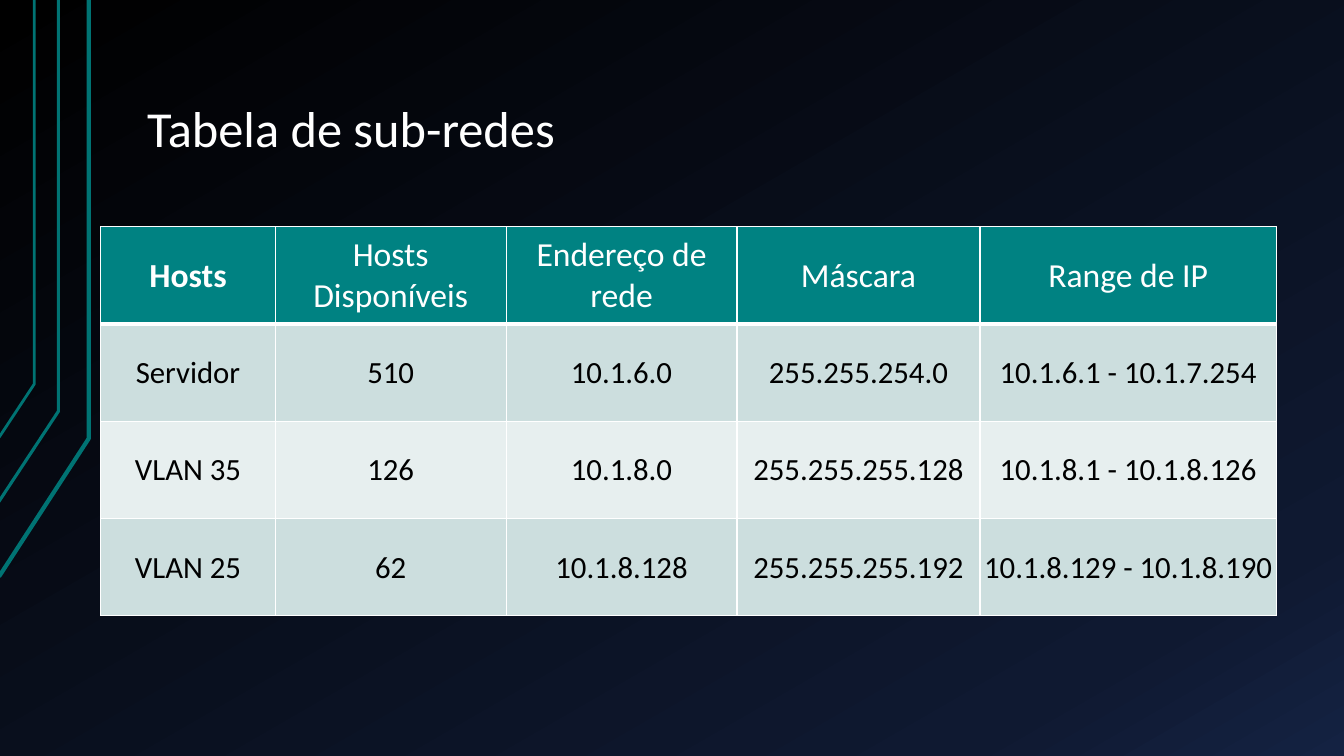
"""Build the subnet table slide."""
from dataclasses import dataclass

from lxml import etree
from pptx import Presentation
from pptx.dml.color import RGBColor
from pptx.enum.text import MSO_ANCHOR, MSO_AUTO_SIZE, PP_ALIGN
from pptx.oxml.ns import qn
from pptx.util import Inches, Pt

LEFT, CENTER = PP_ALIGN.LEFT, PP_ALIGN.CENTER
MIDDLE, BOTTOM = MSO_ANCHOR.MIDDLE, MSO_ANCHOR.BOTTOM
NO_FIT = MSO_AUTO_SIZE.NONE


@dataclass(frozen=True)
class Theme:
    font: str = "Calibri"
    title_size: int = 36
    head_size: int = 24
    body_size: int = 22
    white: str = "FFFFFF"
    black: str = "000000"
    head_fill: str = "008282"
    bands: tuple = ("CCDEDE", "E7EFEF")
    accent: str = "007373"
    backdrop: tuple = ((0, "000000"), (85, "0F1931"), (100, "142242"))
    angle: int = 60


THEME = Theme()
TITLE = "Tabela de sub-redes"
ROWS = [
    ("Hosts", "Hosts Disponíveis", "Endereço de rede", "Máscara", "Range de IP"),
    ("Servidor", "510", "10.1.6.0", "255.255.254.0", "10.1.6.1 - 10.1.7.254"),
    ("VLAN 35", "126", "10.1.8.0", "255.255.255.128", "10.1.8.1 - 10.1.8.126"),
    ("VLAN 25", "62", "10.1.8.128", "255.255.255.192", "10.1.8.129 - 10.1.8.190"),
]
COL_WIDTHS = (1.73, 2.29, 2.29, 2.41, 2.94)
TABLE_LEFT, TABLE_TOP, TABLE_HEIGHT = 1, 2.25, 3.86
CIRCUIT_LINES = [
    (((-0.01, 5.72), (0.88, 4.35), (0.88, 0)), 3),
    (((-0.02, 4.99), (0.58, 4.08), (0.58, 0)), 2.25),
    (((-0.01, 4.34), (0.34, 3.81), (0.34, 0)), 2),
]


def style(p, size, color, align, bold=False):
    p.alignment = align
    p.font.name, p.font.size, p.font.bold = THEME.font, Pt(size), bold
    p.font.color.rgb = RGBColor.from_string(color)


def add_color(parent, color):
    etree.SubElement(parent, qn("a:srgbClr"), val=color)


def set_background(s):
    fill = s.background.fill
    fill.gradient()
    fill.gradient_angle = 360 - THEME.angle
    stops = s.element.find(".//" + qn("a:gsLst"))
    for stop in list(stops):
        stops.remove(stop)
    for percent, color in THEME.backdrop:
        add_color(etree.SubElement(stops, qn("a:gs"), pos=str(percent * 1000)), color)


def add_circuit_line(s, points, width):
    start, *rest = [(Inches(x), Inches(y)) for x, y in points]
    builder = s.shapes.build_freeform(*start)
    builder.add_line_segments(rest, close=False)
    sp = builder.convert_to_shape()
    sp.fill.background()
    sp.line.color.rgb = RGBColor.from_string(THEME.accent)
    sp.line.width = Pt(width)
    sp.shadow.inherit = False


def set_borders(cell, top, bottom):
    tc_pr = cell._tc.get_or_add_tcPr()
    for side, width in (("L", 1), ("R", 1), ("T", top), ("B", bottom)):
        ln = etree.SubElement(tc_pr, qn("a:ln" + side), w=str(Pt(width)))
        add_color(etree.SubElement(ln, qn("a:solidFill")), THEME.white)


def fill_cell(cell, text, row, col):
    head = row == 0
    set_borders(cell, 3 if row == 1 else 1, 3 if head else 1)
    cell.fill.solid()
    color = THEME.head_fill if head else THEME.bands[(row - 1) % 2]
    cell.fill.fore_color.rgb = RGBColor.from_string(color)
    cell.margin_left = cell.margin_right = cell.margin_top = Inches(0.01)
    cell.margin_bottom = 0
    cell.vertical_anchor = MIDDLE
    cell.text = text
    size, ink = (THEME.head_size, THEME.white) if head else (THEME.body_size, THEME.black)
    style(cell.text_frame.paragraphs[0], size, ink, CENTER, head and col == 0)


def add_title(s):
    title = s.shapes.title
    title.left, title.top, title.width, title.height = map(Inches, (1.33, 0.3, 11.33, 1.34))
    tf = title.text_frame
    tf.text, tf.auto_size, tf.vertical_anchor, tf.word_wrap = TITLE, NO_FIT, BOTTOM, True
    tf.margin_left = tf.margin_right = Inches(0.13)
    tf.margin_top = tf.margin_bottom = Inches(0.07)
    p = tf.paragraphs[0]
    p.line_spacing = 0.9
    style(p, THEME.title_size, THEME.white, LEFT)


def add_subnet_table(s):
    box = map(Inches, (TABLE_LEFT, TABLE_TOP, sum(COL_WIDTHS), TABLE_HEIGHT))
    table = s.shapes.add_table(len(ROWS), len(COL_WIDTHS), *box).table
    for column, width in zip(table.columns, COL_WIDTHS):
        column.width = Inches(width)
    for row, texts in enumerate(ROWS):
        for col, text in enumerate(texts):
            fill_cell(table.cell(row, col), text, row, col)


prs = Presentation()
prs.slide_width, prs.slide_height = Inches(13.33), Inches(7.5)
s = prs.slides.add_slide(prs.slide_layouts[5])
set_background(s)
for points, width in CIRCUIT_LINES:
    add_circuit_line(s, points, width)
add_title(s)
add_subnet_table(s)
prs.save("out.pptx")
